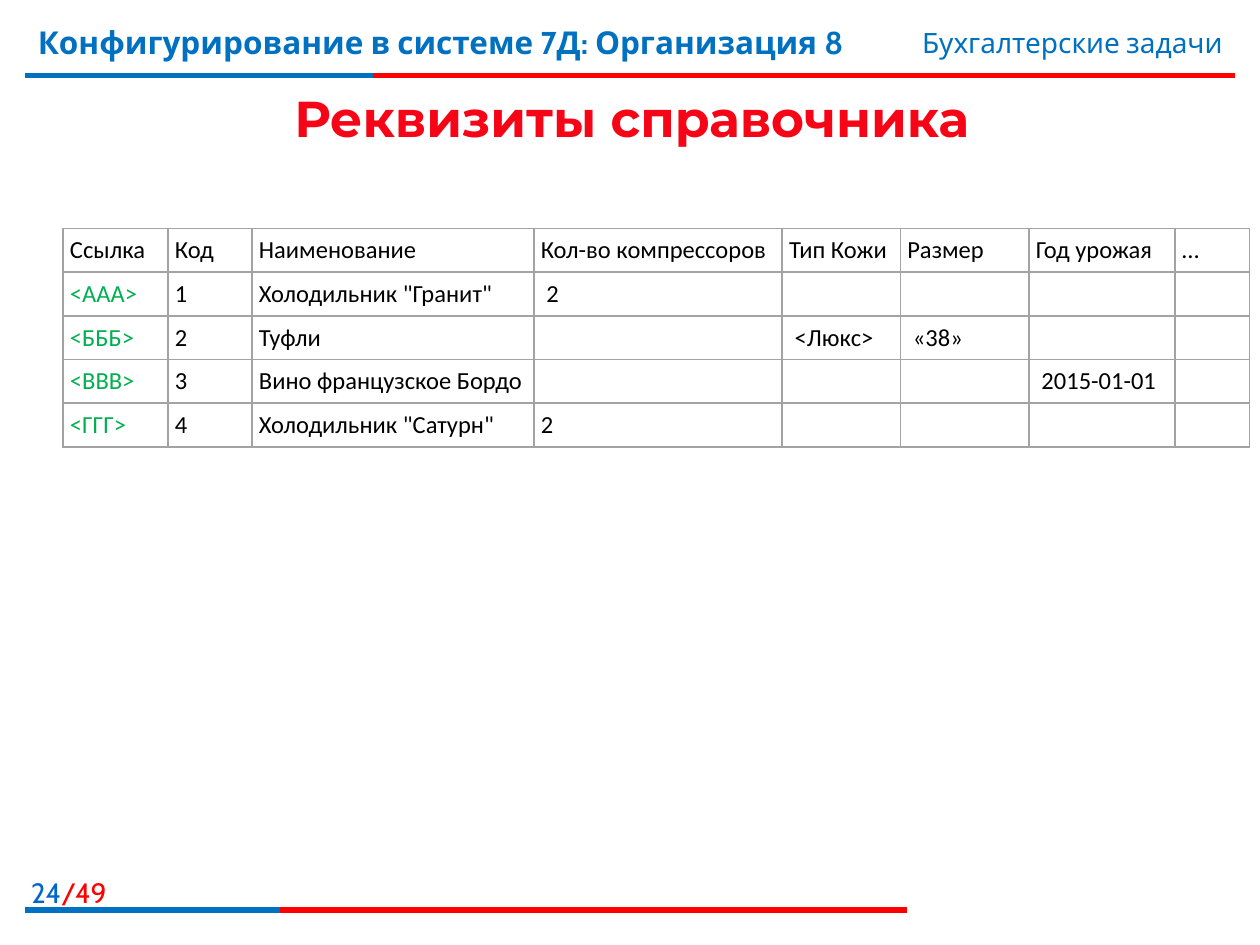
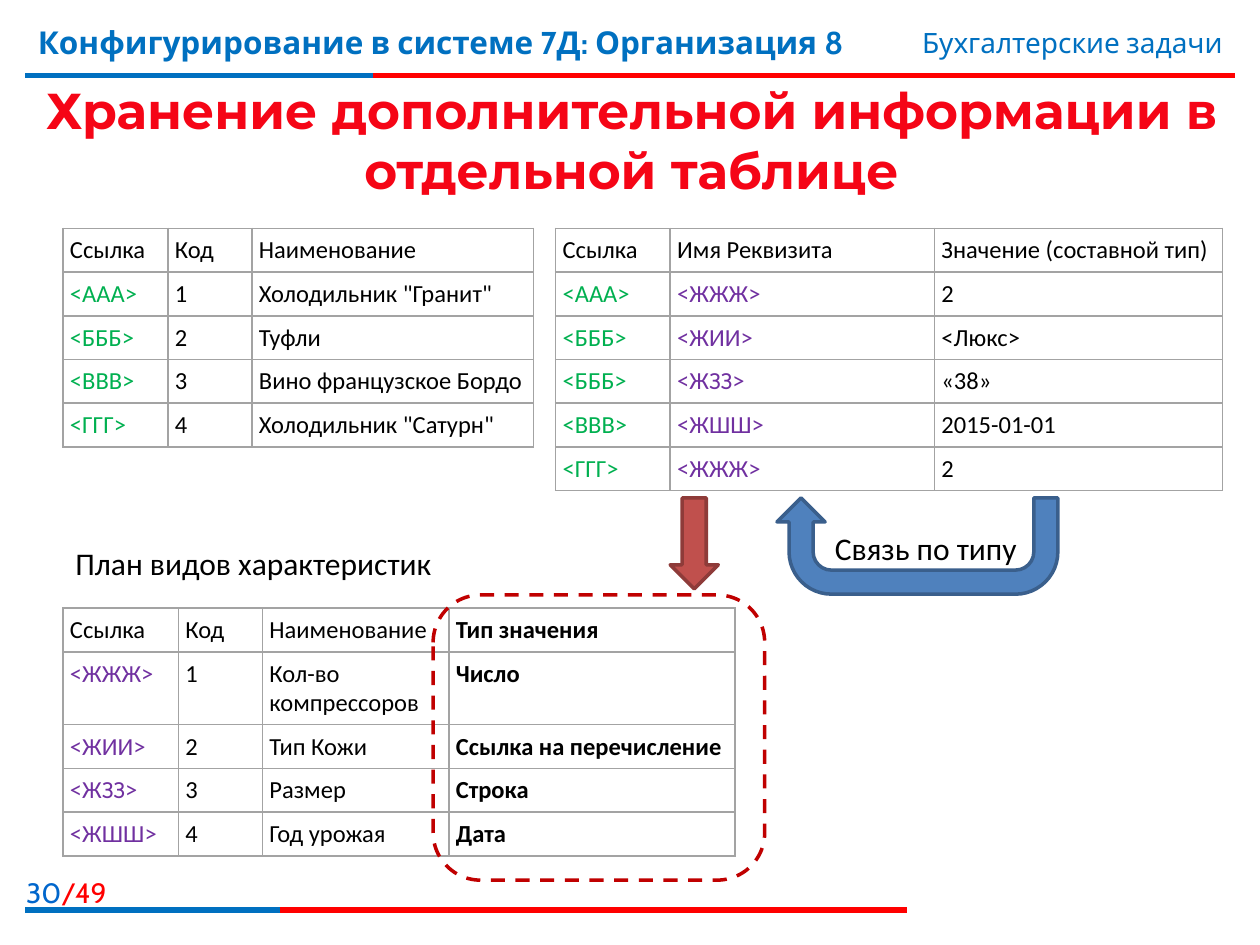
from lxml import etree
from pptx import Presentation
from pptx.dml.color import RGBColor
from pptx.enum.dml import MSO_LINE
from pptx.enum.shapes import MSO_CONNECTOR, MSO_SHAPE
from pptx.enum.text import MSO_ANCHOR, PP_ALIGN
from pptx.oxml.ns import qn
from pptx.util import Pt

BLACK = RGBColor(0x00, 0x00, 0x00)
RED = RGBColor(0xFF, 0x00, 0x00)
BLUE = RGBColor(0x00, 0x70, 0xC0)
PAGE_BLUE = RGBColor(0x00, 0x66, 0xCC)
TITLE_RED = RGBColor(0xF5, 0x05, 0x16)
GREEN = RGBColor(0x00, 0xB0, 0x50)
PURPLE = RGBColor(0x70, 0x30, 0xA0)
ARROW_BLUE = RGBColor(0x4F, 0x81, 0xBD)
ARROW_BLUE_EDGE = RGBColor(0x3A, 0x5F, 0x8C)
ARROW_RED = RGBColor(0xC0, 0x50, 0x4D)
ARROW_RED_EDGE = RGBColor(0x8E, 0x3B, 0x39)
DARK_RED = RGBColor(0xC0, 0x00, 0x00)
GRID = "A3A3A3"

LEFT, CENTER, RIGHT = PP_ALIGN.LEFT, PP_ALIGN.CENTER, PP_ALIGN.RIGHT
TOP, MIDDLE = MSO_ANCHOR.TOP, MSO_ANCHOR.MIDDLE
STRAIGHT = MSO_CONNECTOR.STRAIGHT
DASH = MSO_LINE.DASH

ROW_H = 25
TABLE_TOP = 130.5


def add_text(s, box, runs, font, size, bold=False, align=LEFT, anchor=TOP):
    """Add a one-paragraph text box; runs is a list of (text, colour)."""
    tf = s.shapes.add_textbox(*map(Pt, box)).text_frame
    tf.word_wrap = True
    tf.vertical_anchor = anchor
    p = tf.paragraphs[0]
    p.alignment = align
    for text, color in runs:
        r = p.add_run()
        r.text = text
        r.font.name, r.font.size, r.font.bold = font, Pt(size), bold
        r.font.color.rgb = color


def add_grid(s, left, top, widths, rows, colors, bold_col=None):
    """Add a ruled table; colors maps a column to its body text colour."""
    frame = s.shapes.add_table(len(rows), len(widths), Pt(left), Pt(top),
                               Pt(sum(widths)), Pt(ROW_H * len(rows)))
    table = frame.table
    table.first_row = table.horz_banding = False
    for column, width in zip(table.columns, widths):
        column.width = Pt(width)
    for i, row in enumerate(rows):
        table.rows[i].height = Pt(ROW_H)
        for j, text in enumerate(row):
            cell = table.cell(i, j)
            cell.margin_left = cell.margin_right = Pt(4)
            cell.margin_top = cell.margin_bottom = Pt(4)
            cell.text = text
            p = cell.text_frame.paragraphs[0]
            for r in p.runs:
                r.font.name, r.font.size = "Calibri", Pt(14)
                r.font.bold = j == bold_col
                r.font.color.rgb = colors.get(j, BLACK) if i else BLACK
            if not text:
                etree.SubElement(p._p, qn("a:endParaRPr"), sz="1400")
            # Borders come before the fill in the cell properties
            tcPr = cell._tc.get_or_add_tcPr()
            for side in ("a:lnL", "a:lnR", "a:lnT", "a:lnB"):
                ln = etree.SubElement(tcPr, qn(side), w=str(Pt(1)))
                fill = etree.SubElement(ln, qn("a:solidFill"))
                etree.SubElement(fill, qn("a:srgbClr"), val=GRID)
            cell.fill.background()


prs = Presentation()
prs.slide_width, prs.slide_height = Pt(720), Pt(540)

GOODS_WIDTHS = [60, 48, 161]
GOODS = [
    ["Ссылка", "Код", "Наименование"],
    ["<ААА>", "1", "Холодильник \"Гранит\""],
    ["<БББ>", "2", "Туфли"],
    ["<ВВВ>", "3", "Вино французское Бордо"],
    ["<ГГГ>", "4", "Холодильник \"Сатурн\""],
]
# (page number, title, title height)
PAGES = [
    ("24", "Реквизиты справочника", 43),
    ("30", "Хранение дополнительной информации в отдельной таблице", 68),
]
# (right end, y, colour); every rule starts at the left margin
RULES = [(706, 43, RED), (213, 43, BLUE), (518.5, 520, RED), (160, 520, BLUE)]

# Shared parts: rules, page number, header, title, goods table
for number, title, title_h in PAGES:
    s = prs.slides.add_slide(prs.slide_layouts[6])
    for end, y, color in RULES:
        line = s.shapes.add_connector(STRAIGHT, Pt(14.5), Pt(y), Pt(end), Pt(y))
        line.line.color.rgb = color
        line.line.width = Pt(3)
        etree.SubElement(line._element.spPr, qn("a:effectLst"))
    add_text(s, (-7, 497, 75, 23), [(number, PAGE_BLUE), ("/49", RED)],
             "Cabin", 16, align=RIGHT)
    add_text(s, (14.5, 9.5, 533, 45),
             [("Конфигурирование в системе 7Д: Организация 8", BLUE)],
             "Cabin", 18, bold=True)
    add_text(s, (428, 11, 278, 27), [("Бухгалтерские задачи", BLUE)],
             "Cabin", 16, align=RIGHT)
    add_text(s, (15, 45.5, 692, title_h), [(title, TITLE_RED)],
             "Montserrat", 28.8, bold=True, align=CENTER, anchor=MIDDLE)
    add_grid(s, 36, TABLE_TOP, GOODS_WIDTHS, GOODS, {0: GREEN})

attributes_slide, storage_slide = prs.slides

# Slide 1: attribute columns next to the goods table
ATTRIBUTES = [
    ["Кол-во компрессоров", "Тип Кожи", "Размер", "Год урожая", "…"],
    [" 2", "", "", "", ""],
    ["", " <Люкс>", " «38»", "", ""],
    ["", "", "", " 2015-01-01", ""],
    ["2", "", "", "", ""],
]
add_grid(attributes_slide, 305, TABLE_TOP, [142, 67.5, 73.5, 83.5, 42.5],
         ATTRIBUTES, {})

# Slide 2: attribute values and characteristic types
s = storage_slide
VALUES = [
    ["Ссылка", "Имя Реквизита", "Значение (составной тип)"],
    ["<ААА>", "<ЖЖЖ>", "2"],
    ["<БББ>", "<ЖИИ>", "<Люкс>"],
    ["<БББ>", "<ЖЗЗ>", "«38»"],
    ["<ВВВ>", "<ЖШШ>", "2015-01-01"],
    ["<ГГГ>", "<ЖЖЖ>", "2"],
]
add_grid(s, 317.5, TABLE_TOP, [65.5, 151, 164.5], VALUES,
         {0: GREEN, 1: PURPLE})
TYPES = [
    ["Ссылка", "Код", "Наименование", "Тип значения"],
    ["<ЖЖЖ>", "1", "Кол-во компрессоров", "Число"],
    ["<ЖИИ>", "2", "Тип Кожи", "Ссылка на перечисление"],
    ["<ЖЗЗ>", "3", "Размер", "Строка"],
    ["<ЖШШ>", "4", "Год урожая", "Дата"],
]
add_grid(s, 36, 347.5, [66, 48, 106.5, 163.5], TYPES, {0: PURPLE}, bold_col=3)

# Labels
for left, top, label in [(36, 307.5, "План видов характеристик"),
                         (470, 299, "Связь по типу")]:
    add_text(s, (left, top, 237, 29), [(label, BLACK)], "Calibri", 18)

# Arrows and the dashed frame around the type column
MARKS = [
    (MSO_SHAPE.U_TURN_ARROW, (444, 284.5, 160.5, 55), ARROW_BLUE, ARROW_BLUE_EDGE),
    (MSO_SHAPE.DOWN_ARROW, (383, 284.5, 27.5, 52), ARROW_RED, ARROW_RED_EDGE),
    (MSO_SHAPE.ROUNDED_RECTANGLE, (247.5, 340, 189.5, 163), None, DARK_RED),
]
for kind, box, fill, edge in MARKS:
    sp = s.shapes.add_shape(kind, *map(Pt, box))
    sp.shadow.inherit = False
    sp.line.color.rgb = edge
    sp.line.width = Pt(2)
    if fill is None:
        sp.fill.background()
        sp.line.dash_style = DASH
    else:
        sp.fill.solid()
        sp.fill.fore_color.rgb = fill
    if kind == MSO_SHAPE.U_TURN_ARROW:
        sp.rotation = 180
        for i, value in enumerate([0.25, 0.25, 0.25, 0.44, 1]):
            sp.adjustments[i] = value

prs.save("out.pptx")
